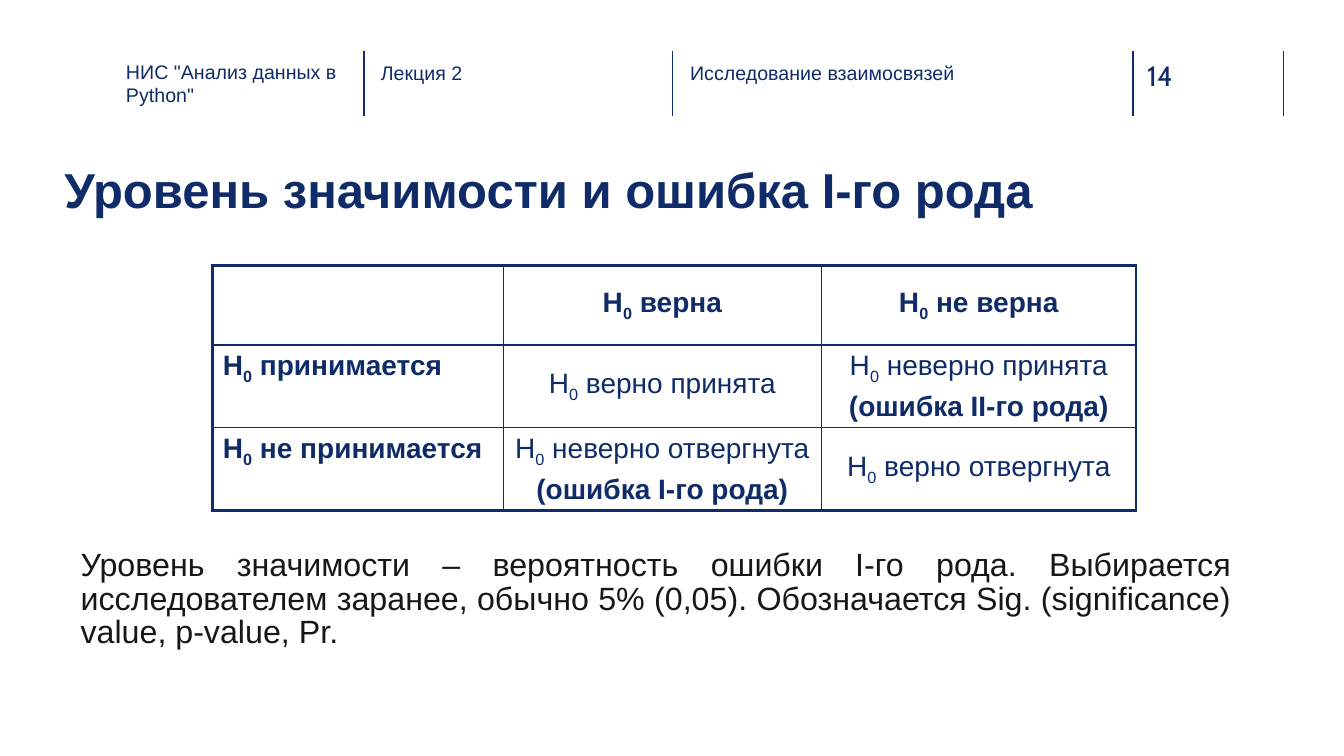
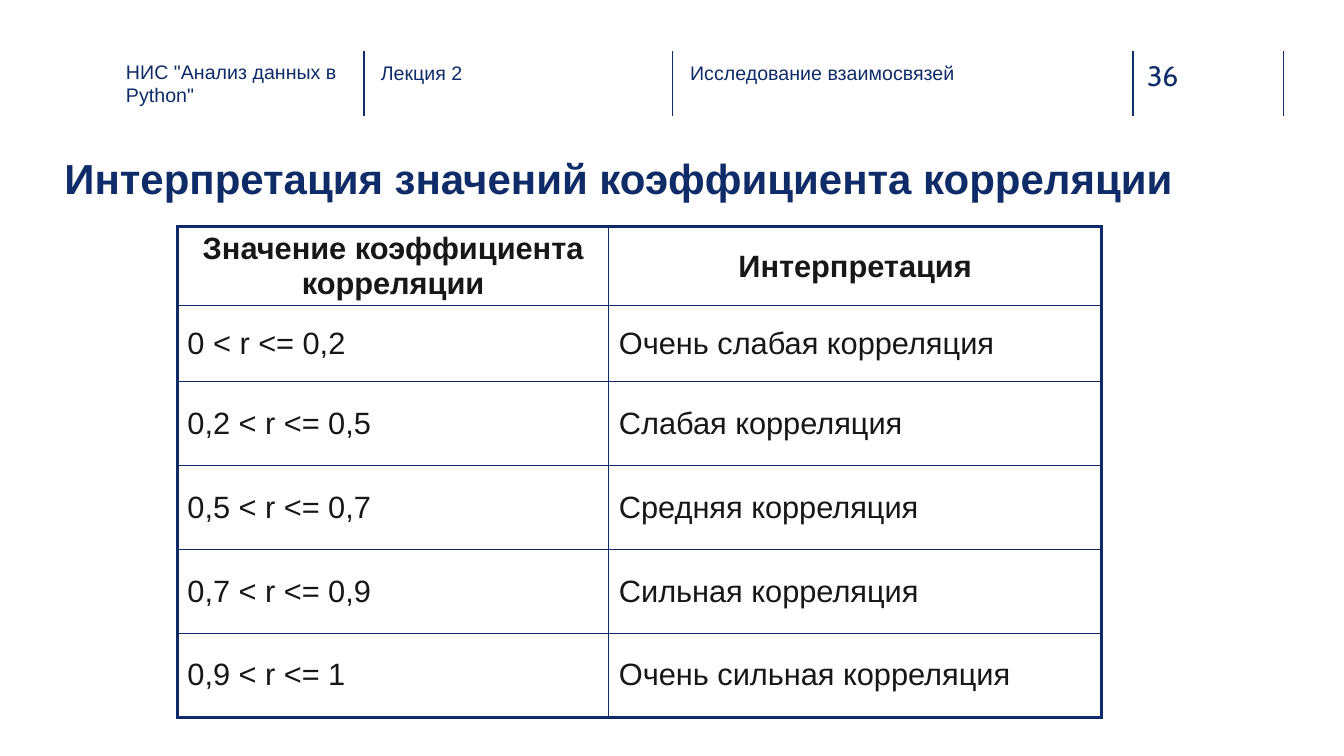
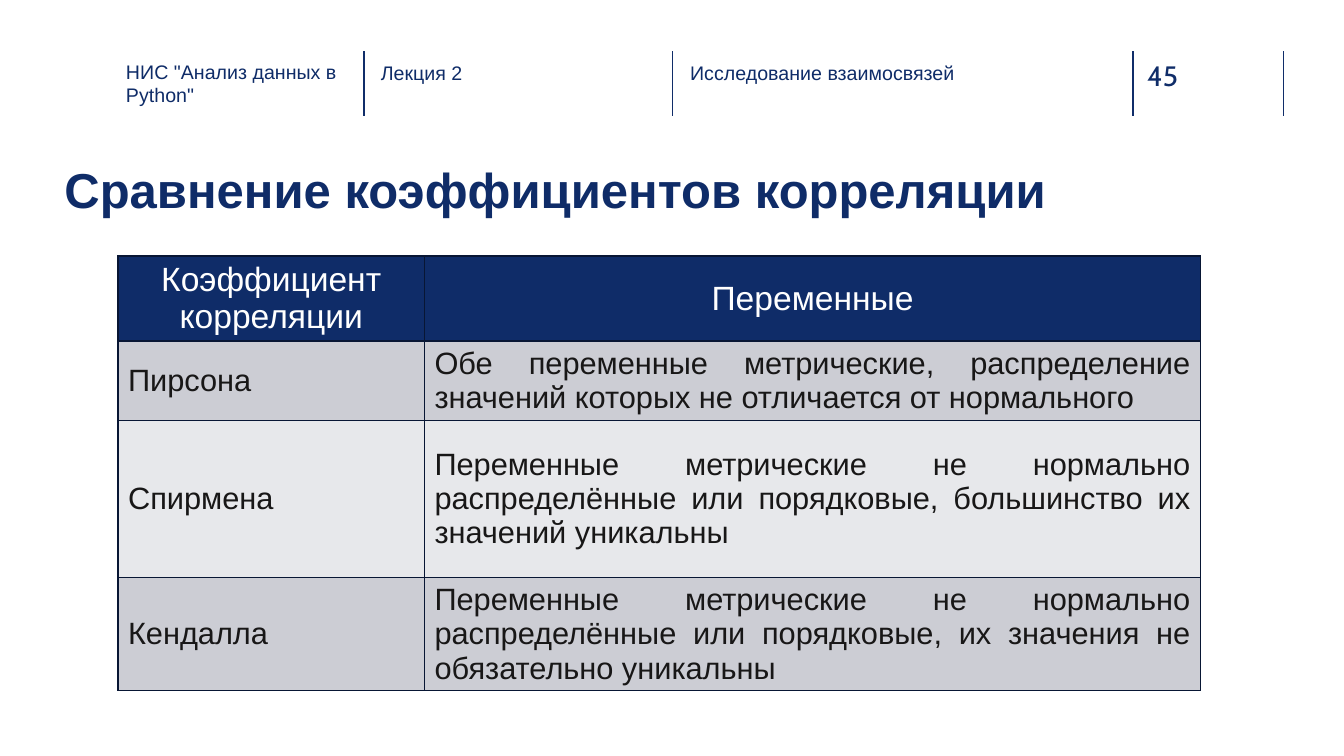
from dataclasses import dataclass

from lxml.etree import SubElement
from pptx import Presentation
from pptx.dml.color import RGBColor
from pptx.enum.shapes import MSO_CONNECTOR as Connector
from pptx.enum.text import MSO_ANCHOR as Anchor, MSO_AUTO_SIZE as AutoSize, PP_ALIGN as Align
from pptx.oxml import parse_xml
from pptx.oxml.ns import nsdecls, qn
from pptx.util import Pt


@dataclass(frozen=True)
class Theme:
    navy: str = "0F2C68"
    rule: str = "102D69"
    ink: str = "181717"
    white: str = "FFFFFF"
    edge: str = "081634"
    band_dark: str = "CCCDD4"
    band_light: str = "E7E8EB"
    font: str = "Arial"
    number_font: str = "Cabin"
    title: float = 35
    title_small: float = 30
    header: float = 14
    number: float = 20
    body: float = 23
    cell: float = 20
    cell_large: float = 22
    cell_head: float = 24
    thin: float = 1
    thick: float = 2.25


THEME = Theme()
HEADER_FIELDS = (
    (90, 42.5, 159, 'НИС "Анализ данных в Python"'),
    (272, 43.2, 163, "Лекция 2"),
    (493, 43.2, 205, "Исследование взаимосвязей"),
)
HEADER_RULES = (260, 480.5, 809.3, 916.6)


def write(frame, text, size, color=THEME.navy, font=THEME.font, bold=False,
          align=Align.LEFT, line_spacing=None, space_before=None):
    """Add one paragraph; each ₀ in the text becomes a lowered 0."""
    para = frame.paragraphs[0] if not frame.text else frame.add_paragraph()
    para.alignment = align
    para.line_spacing = line_spacing
    para.space_before = space_before
    for index, part in enumerate(text.split("₀")):
        pieces = [(part, False)] if index == 0 else [("0", True), (part, False)]
        for piece, lowered in pieces:
            span = para.add_run()
            span.text = piece
            span.font.name = font
            span.font.size = Pt(size)
            span.font.bold = bold
            span.font.color.rgb = RGBColor.from_string(color)
            if lowered:
                span.font._element.set("baseline", "-25000")


def prepare_frame(box):
    frame = box.text_frame
    frame.word_wrap = True
    frame.auto_size = AutoSize.NONE
    frame.vertical_anchor = Anchor.TOP
    frame.margin_left = frame.margin_right = frame.margin_top = frame.margin_bottom = 0
    return frame


def add_text(page, left, top, width, height, text, size, **style):
    box = page.shapes.add_textbox(Pt(left), Pt(top), Pt(width), Pt(height))
    write(prepare_frame(box), text, size, **style)


def add_rule(page, x, top, bottom):
    rule = page.shapes.add_connector(Connector.STRAIGHT, Pt(x), Pt(top), Pt(x), Pt(bottom))
    rule.line.color.rgb = RGBColor.from_string(THEME.rule)
    rule.line.width = Pt(THEME.thin)
    SubElement(rule._element.spPr, qn("a:effectLst"))


def add_page(deck, number, title, title_top=110, title_size=THEME.title):
    page = deck.slides.add_slide(deck.slide_layouts[5])
    for x in HEADER_RULES:
        add_rule(page, x, 36.7, 82.8)
    for left, top, width, text in HEADER_FIELDS:
        add_text(page, left, top, width, 32.4, text, THEME.header)
    add_text(page, 819.4, 41.8, 52.6, 24.5, number, THEME.number,
             color=THEME.rule, font=THEME.number_font)
    box = page.shapes.title
    box.left, box.top, box.width, box.height = Pt(46), Pt(title_top), Pt(870.5), Pt(61)
    write(prepare_frame(box), title, title_size, bold=True, line_spacing=1.1)
    return page


def set_border(cell, widths, color):
    """Draw the left, right, top and bottom edges, in that order."""
    properties = cell._tc.get_or_add_tcPr()
    for index, (side, width) in enumerate(zip("LRTB", widths)):
        properties.insert(index, parse_xml(
            f'<a:ln{side} {nsdecls("a")} w="{Pt(width)}"><a:solidFill>'
            f'<a:srgbClr val="{color}"/></a:solidFill></a:ln{side}>'))


def add_grid(page, left, top, widths, heights, color=THEME.navy, outer=THEME.thick):
    """Add an empty, unfilled table with its outer and inner lines."""
    table = page.shapes.add_table(len(heights), len(widths), Pt(left), Pt(top),
                                  Pt(sum(widths)), Pt(sum(heights))).table
    table.first_row = table.horz_banding = False
    for column, width in zip(table.columns, widths):
        column.width = Pt(width)
    for row, height in zip(table.rows, heights):
        row.height = Pt(height)
    last_row, last_column = len(heights) - 1, len(widths) - 1
    for r, row in enumerate(table.rows):
        for c, cell in enumerate(row.cells):
            cell.vertical_anchor = Anchor.MIDDLE
            cell.fill.background()
            at_edge = (c == 0, c == last_column, r == 0, r == last_row)
            set_border(cell, [outer if edge else THEME.thin for edge in at_edge], color)
    return table


def fill_cell(cell, color):
    cell.fill.solid()
    cell.fill.fore_color.rgb = RGBColor.from_string(color)


def add_error_page(deck):
    page = add_page(deck, "14", "Уровень значимости и ошибка I-го рода")
    table = add_grid(page, 152, 189.5, (207.4, 227.5, 224.6), (56.9, 59, 59))
    for column, text in enumerate(("H₀ верна", "H₀ не верна"), 1):
        write(table.cell(0, column).text_frame, text, THEME.cell, bold=True, align=Align.CENTER)
    decisions = (
        ("H₀ принимается", ("H₀ верно принята",), ("H₀ неверно принята", "(ошибка II-го рода)")),
        ("H₀ не принимается", ("H₀ неверно отвергнута", "(ошибка I-го рода)"),
         ("H₀ верно отвергнута",)),
    )
    for row, (decision, *outcomes) in enumerate(decisions, 1):
        label = table.cell(row, 0)
        label.vertical_anchor = Anchor.TOP
        write(label.text_frame, decision, THEME.cell, bold=True)
        for column, lines in enumerate(outcomes, 1):
            for index, line in enumerate(lines):
                write(table.cell(row, column).text_frame, line, THEME.cell, bold=index > 0,
                      align=Align.CENTER, space_before=Pt(4))
    add_text(page, 57.6, 392.4, 823, 162.7,
             "Уровень значимости – вероятность ошибки I-го рода. Выбирается исследователем "
             "заранее, обычно 5% (0,05). Обозначается Sig. (significance) value, p-value, Pr.",
             THEME.body, color=THEME.ink, align=Align.JUSTIFY, line_spacing=Pt(24))


def add_interpretation_page(deck):
    page = add_page(deck, "36", "Интерпретация значений коэффициента корреляции",
                    title_top=105, title_size=THEME.title_small)
    rows = (
        ("Значение коэффициента корреляции", "Интерпретация"),
        ("0 < r <= 0,2", "Очень слабая корреляция"),
        ("0,2 < r <= 0,5", "Слабая корреляция"),
        ("0,5 < r <= 0,7", "Средняя корреляция"),
        ("0,7 < r <= 0,9", "Сильная корреляция"),
        ("0,9 < r <= 1", "Очень сильная корреляция"),
    )
    table = add_grid(page, 126.7, 162, (308.2, 352), (56.2, 54, *[60] * 4))
    for r, texts in enumerate(rows):
        for c, text in enumerate(texts):
            write(table.cell(r, c).text_frame, text, THEME.cell_large, color=THEME.ink,
                  bold=r == 0, align=Align.LEFT if r else Align.CENTER)


def add_comparison_page(deck):
    page = add_page(deck, "45", "Сравнение коэффициентов корреляции")
    rows = (
        ("Коэффициент корреляции", "Переменные"),
        ("Пирсона", "Обе переменные метрические, распределение значений которых "
                    "не отличается от нормального"),
        ("Спирмена", "Переменные метрические не нормально распределённые или порядковые, "
                     "большинство их значений уникальны"),
        ("Кендалла", "Переменные метрические не нормально распределённые или порядковые, "
                     "их значения не обязательно уникальны"),
    )
    table = add_grid(page, 84.3, 182.9, (218.9, 554.4), (60.5, 56.5, 112.3, 80.6),
                     color=THEME.edge, outer=THEME.thin)
    head = dict(size=THEME.cell_head, color=THEME.white, align=Align.CENTER)
    body = dict(size=THEME.cell_large, color=THEME.ink, align=Align.JUSTIFY)
    fills = (THEME.navy, THEME.band_dark, THEME.band_light, THEME.band_dark)
    for r, (texts, fill) in enumerate(zip(rows, fills)):
        for c, text in enumerate(texts):
            cell = table.cell(r, c)
            fill_cell(cell, fill)
            write(cell.text_frame, text, **(body if r else head))


def main():
    deck = Presentation()
    deck.slide_width, deck.slide_height = Pt(960), Pt(540)
    add_error_page(deck)
    add_interpretation_page(deck)
    add_comparison_page(deck)
    deck.save("out.pptx")


if __name__ == "__main__":
    main()
